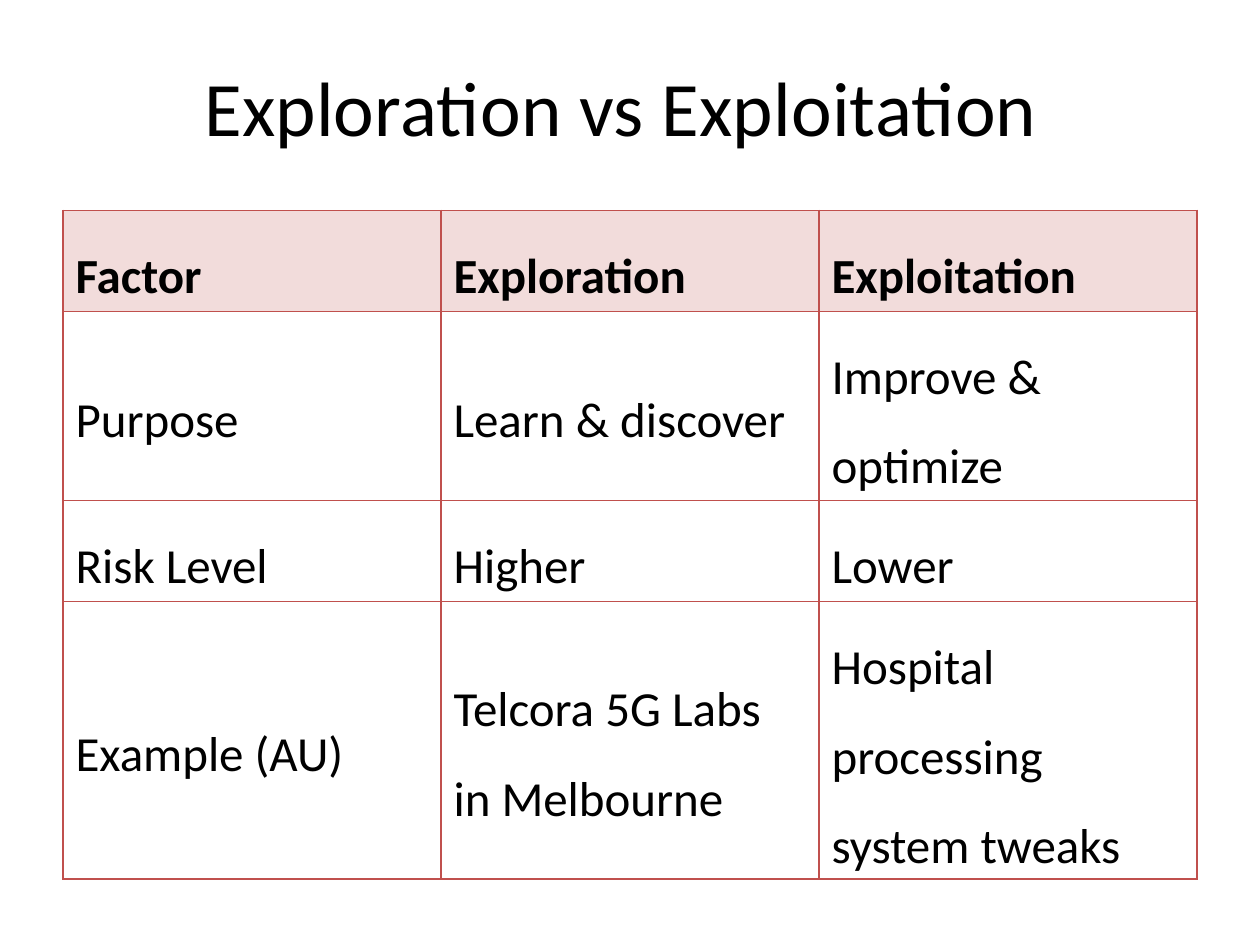
from dataclasses import dataclass

from lxml import etree
from pptx import Presentation
from pptx.dml.color import RGBColor
from pptx.enum.text import MSO_ANCHOR, MSO_AUTO_SIZE, PP_ALIGN
from pptx.oxml.ns import qn
from pptx.util import Inches, Pt

MIDDLE = MSO_ANCHOR.MIDDLE
GROW = MSO_AUTO_SIZE.SHAPE_TO_FIT_TEXT
CENTER = PP_ALIGN.CENTER
TITLE_ONLY_LAYOUT = 5


@dataclass(frozen=True)
class Theme:
    font: str = "Calibri"
    text: str = "000000"
    header_fill: str = "F2DCDB"
    border: str = "C0504D"
    border_width: float = 1
    title_size: float = 44
    body_size: float = 28
    line_spacing: float = 1.5


@dataclass(frozen=True)
class Row:
    cells: tuple[str, ...]
    height: float  # inches
    header: bool = False


THEME = Theme()
TITLE = "Exploration vs Exploitation "
ROWS = (
    Row(("Factor", "Exploration", "Exploitation"), 0.8, header=True),
    Row(("Purpose", "Learn & discover", "Improve & optimize"), 1.5),
    Row(("Risk Level", "Higher", "Lower"), 0.8),
    Row(("Example (AU)", "Telcora 5G Labs in Melbourne",
         "Hospital processing system tweaks"), 2.2),
)


def set_all(target, values: dict) -> None:
    for name, value in values.items():
        setattr(target, name, value)


def format_font(font, size: float, bold: bool = False) -> None:
    set_all(font, {"name": THEME.font, "size": Pt(size), "bold": bold})
    font.color.rgb = RGBColor.from_string(THEME.text)


def add_borders(cell) -> None:
    """Outline all four sides; border lines come before the fill."""
    properties = cell._tc.get_or_add_tcPr()
    for index, side in enumerate(("a:lnL", "a:lnR", "a:lnT", "a:lnB")):
        line = etree.Element(qn(side), w=str(Pt(THEME.border_width)))
        fill = etree.SubElement(line, qn("a:solidFill"))
        etree.SubElement(fill, qn("a:srgbClr"), val=THEME.border)
        properties.insert(index, line)


def write_cell(cell, text: str, header: bool) -> None:
    cell.vertical_anchor = MIDDLE
    paragraph = cell.text_frame.paragraphs[0]
    paragraph.line_spacing = THEME.line_spacing
    run = paragraph.add_run()
    run.text = text
    format_font(run.font, THEME.body_size, header)
    if header:
        cell.fill.solid()
        cell.fill.fore_color.rgb = RGBColor.from_string(THEME.header_fill)
    else:
        cell.fill.background()
    add_borders(cell)


def write_title(slide, width: int, height: int) -> None:
    title = slide.shapes.title
    set_all(title, {"left": 0, "top": round(height * 0.063),
                    "width": width, "height": Inches(0.74)})
    set_all(title.text_frame, {
        "margin_left": 0, "margin_right": 0, "margin_top": 0,
        "margin_bottom": 0, "word_wrap": True, "auto_size": GROW})
    paragraph = title.text_frame.paragraphs[0]
    paragraph.alignment = CENTER
    run = paragraph.add_run()
    run.text = TITLE
    format_font(run.font, THEME.title_size)
    run.font._element.set("spc", "10")


def add_comparison(slide, width: int) -> None:
    side_margin = round(width * 0.05)
    table = slide.shapes.add_table(
        len(ROWS), len(ROWS[0].cells), side_margin, Inches(1.67),
        width - 2 * side_margin, Inches(sum(row.height for row in ROWS))).table
    set_all(table, {"first_row": False, "horz_banding": False})
    for row_index, row in enumerate(ROWS):
        table.rows[row_index].height = Inches(row.height)
        for column_index, text in enumerate(row.cells):
            write_cell(table.cell(row_index, column_index), text, row.header)


def main() -> None:
    presentation = Presentation()
    set_all(presentation, {"slide_width": Inches(10), "slide_height": Inches(7.5)})
    slide = presentation.slides.add_slide(
        presentation.slide_layouts[TITLE_ONLY_LAYOUT])
    # Heading
    write_title(slide, presentation.slide_width, presentation.slide_height)
    # Comparison table
    add_comparison(slide, presentation.slide_width)
    presentation.save("out.pptx")


if __name__ == "__main__":
    main()
